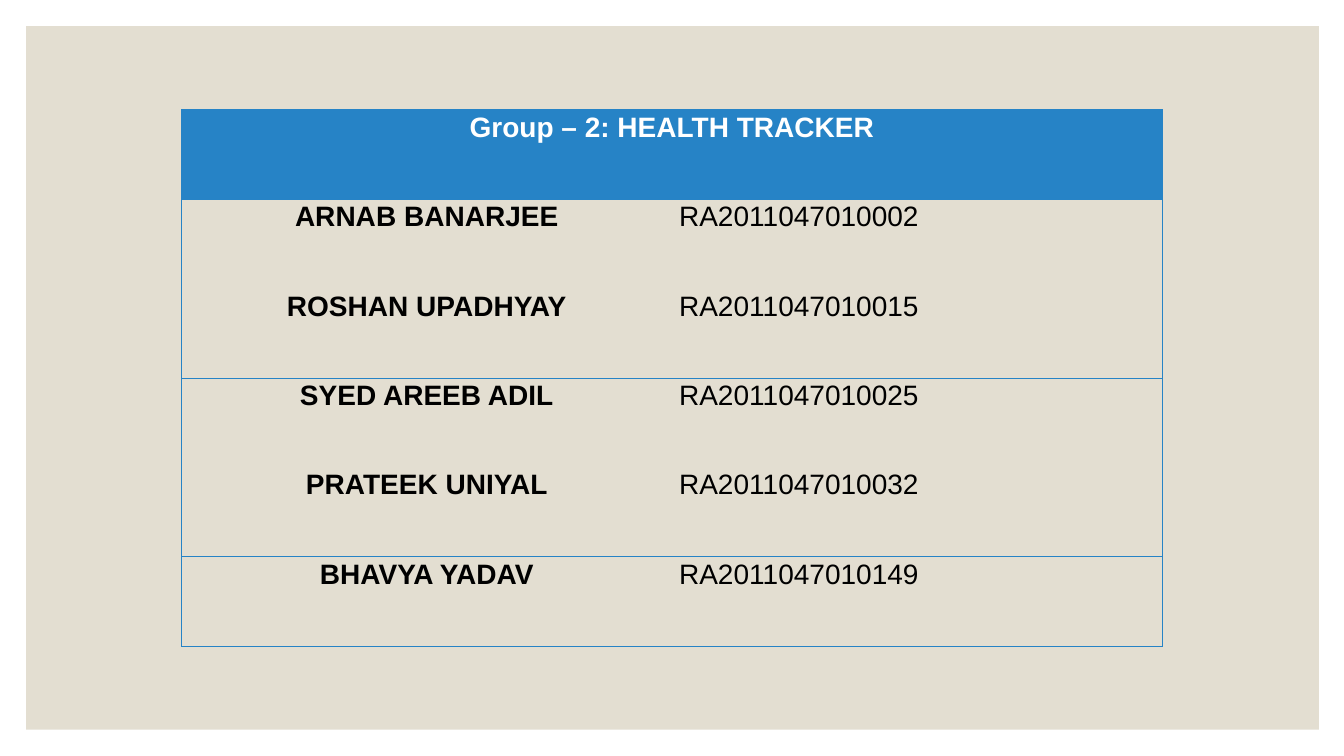
from lxml.etree import SubElement
from pptx import Presentation
from pptx.dml.color import RGBColor
from pptx.enum.shapes import MSO_SHAPE
from pptx.enum.text import PP_ALIGN
from pptx.oxml.ns import qn
from pptx.util import Inches, Pt

BLUE = RGBColor(0x26, 0x83, 0xC6)
BEIGE = RGBColor(0xE3, 0xDE, 0xD1)
WHITE = RGBColor(0xFF, 0xFF, 0xFF)
BLACK = RGBColor(0, 0, 0)

TITLE = "Group – 2: HEALTH TRACKER"
MEMBERS = [
    ("ARNAB BANARJEE", "RA2011047010002"),
    ("ROSHAN UPADHYAY", "RA2011047010015"),
    ("SYED AREEB ADIL", "RA2011047010025"),
    ("PRATEEK UNIYAL", "RA2011047010032"),
    ("BHAVYA YADAV", "RA2011047010149"),
]
RULED_EDGES = {0, 1, 3, 5, 6}  # horizontal grid lines, counted from the top


def add_panel(slide):
    panel = slide.shapes.add_shape(
        MSO_SHAPE.RECTANGLE, Inches(0.26), Inches(0.26), Inches(12.82), Inches(6.98))
    panel.shadow.inherit = False
    panel.fill.solid()
    panel.fill.fore_color.rgb = BEIGE
    panel.line.fill.background()


def set_borders(cell, ruled):
    """Draw the sides flagged in ruled (L, R, T, B) and clear the others."""
    properties = cell._tc.get_or_add_tcPr()
    for position, (side, visible) in enumerate(ruled.items()):
        border = SubElement(properties, qn(f"a:ln{side}"), w=str(Pt(0.75)))
        if visible:
            fill = SubElement(border, qn("a:solidFill"))
            SubElement(fill, qn("a:srgbClr"), val=str(BLUE))
        else:
            SubElement(border, qn("a:noFill"))
        properties.insert(position, border)


def write_cell(cell, text, color=BLACK, bold=False, align=PP_ALIGN.LEFT):
    cell.text = text
    paragraph = cell.text_frame.paragraphs[0]
    paragraph.alignment = align
    paragraph.line_spacing = 1.07
    font = paragraph.runs[0].font
    for name, value in {"name": "Arial", "size": Pt(20), "bold": bold}.items():
        setattr(font, name, value)
    font.color.rgb = color


def format_cell(cell, row, column):
    margins = {"margin_left": 0.07, "margin_right": 0.07,
               "margin_top": 0, "margin_bottom": 0}
    for name, value in margins.items():
        setattr(cell, name, Inches(value))
    if row == 0:
        cell.fill.solid()
        cell.fill.fore_color.rgb = BLUE
    else:
        cell.fill.background()
    set_borders(cell, {"L": column == 0, "R": column == 1,
                       "T": row in RULED_EDGES, "B": row + 1 in RULED_EDGES})


def add_member_table(slide):
    row_count = len(MEMBERS) + 1
    table = slide.shapes.add_table(
        row_count, 2, Inches(1.8), Inches(1.09), Inches(9.73), Inches(5.32)).table
    table.first_row = False
    table.horz_banding = False
    for row in range(row_count):
        for column in range(2):
            format_cell(table.cell(row, column), row, column)
    table.cell(0, 0).merge(table.cell(0, 1))
    write_cell(table.cell(0, 0), TITLE, WHITE, bold=True, align=PP_ALIGN.CENTER)
    for row, (member, register_number) in enumerate(MEMBERS, start=1):
        write_cell(table.cell(row, 0), member, bold=True, align=PP_ALIGN.CENTER)
        write_cell(table.cell(row, 1), register_number)


def main():
    presentation = Presentation()
    presentation.slide_width = Inches(13.33)
    presentation.slide_height = Inches(7.5)
    slide = presentation.slides.add_slide(presentation.slide_layouts[6])
    add_panel(slide)
    add_member_table(slide)
    presentation.save("out.pptx")


if __name__ == "__main__":
    main()
